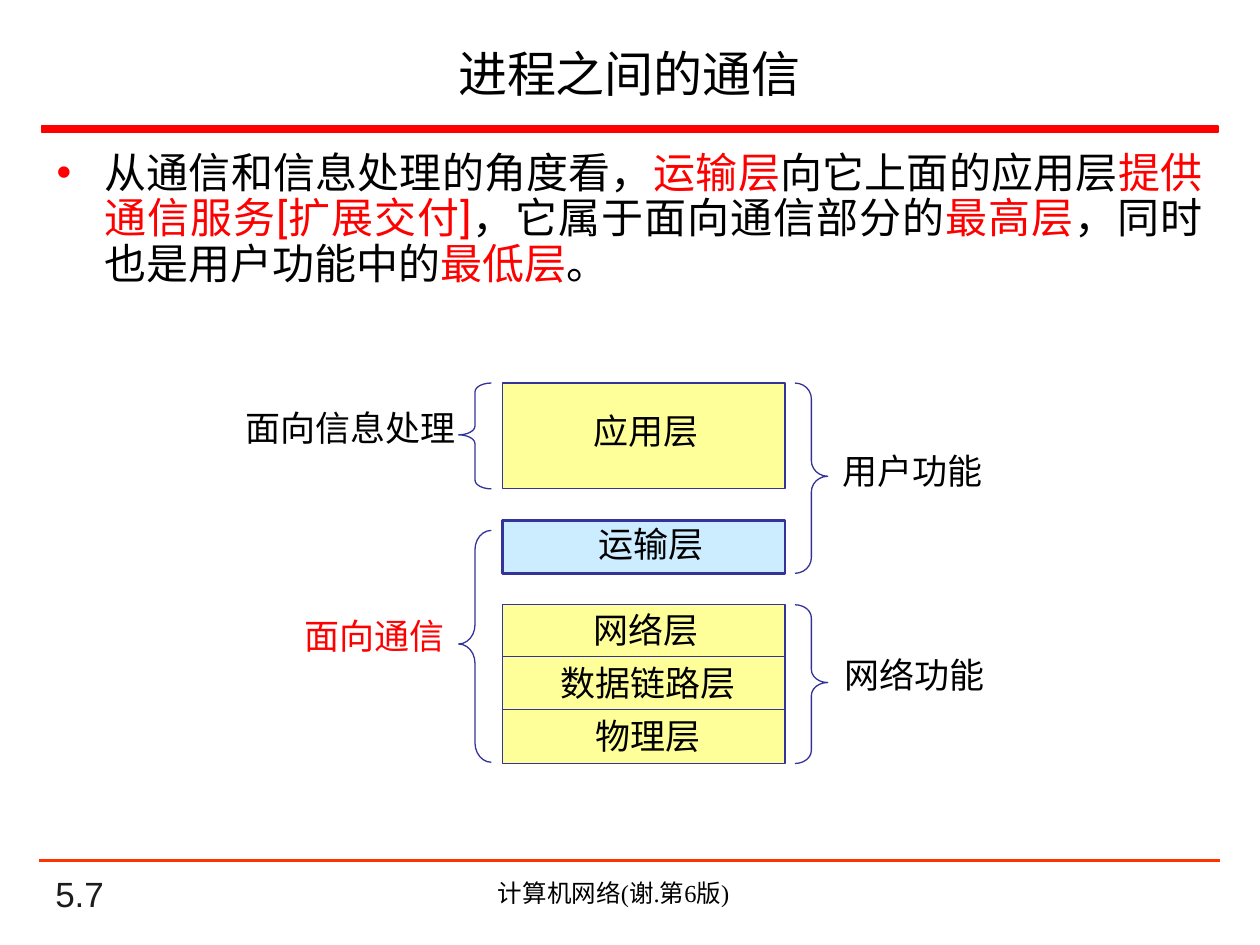
from lxml.etree import SubElement
from pptx import Presentation
from pptx.dml.color import RGBColor
from pptx.enum.shapes import MSO_CONNECTOR, MSO_SHAPE
from pptx.enum.text import MSO_ANCHOR, MSO_AUTO_SIZE, PP_ALIGN
from pptx.oxml.ns import qn
from pptx.util import Inches, Pt

BLACK, RED, NAVY = "000000", "FF0000", "333399"
YELLOW, BLUE = "FFFF99", "CCECFF"


def rgb(value):
    return RGBColor.from_string(value)


class SlideBuilder:
    def __init__(self, slide, font="Arial", size=20, line=NAVY, width=0.75):
        self.s = slide
        self.font, self.size = font, size
        self.line_color, self.width = line, width

    def text(self, x, y, w, h, runs, font=None, size=None, wrap=True,
             anchor=MSO_ANCHOR.TOP, align=PP_ALIGN.LEFT):
        sp = self.s.shapes.add_textbox(Inches(x), Inches(y), Inches(w), Inches(h))
        tf = sp.text_frame
        tf.word_wrap = wrap
        if not wrap:
            tf.auto_size = MSO_AUTO_SIZE.SHAPE_TO_FIT_TEXT
        tf.vertical_anchor = anchor
        p = tf.paragraphs[0]
        p.alignment = align
        for words, color in runs:
            r = p.add_run()
            r.text = words
            r.font.name = font or self.font
            r.font.size = Pt(size or self.size)
            r.font.color.rgb = rgb(color)
        return p

    def label(self, x, y, w, words, color=BLACK):
        return self.text(x, y, w, 0.43, [(words, color)], wrap=False)

    def bullet(self, p, color, indent):
        pPr = p._p.get_or_add_pPr()
        pPr.set("marL", str(Inches(indent)))
        pPr.set("indent", str(-Inches(indent)))
        SubElement(SubElement(pPr, qn("a:buClr")), qn("a:srgbClr")).set("val", color)
        SubElement(pPr, qn("a:buFont")).set("typeface", "Arial")
        SubElement(pPr, qn("a:buChar")).set("char", "•")

    def shape(self, kind, x, y, w, h, fill=None, line=None, width=None):
        sp = self.s.shapes.add_shape(kind, Inches(x), Inches(y), Inches(w), Inches(h))
        sp.shadow.inherit = False
        if fill:
            sp.fill.solid()
            sp.fill.fore_color.rgb = rgb(fill)
        else:
            sp.fill.background()
        sp.line.color.rgb = rgb(line or self.line_color)
        sp.line.width = Pt(width or self.width)
        return sp

    def brace(self, kind, x, y, h, curve):
        sp = self.shape(kind, x, y, 0.26, h)
        sp.adjustments[0] = curve
        sp.adjustments[1] = 0.49

    def hline(self, x1, x2, y, color=None, width=None):
        c = self.s.shapes.add_connector(
            MSO_CONNECTOR.STRAIGHT, Inches(x1), Inches(y), Inches(x2), Inches(y))
        c.line.color.rgb = rgb(color or self.line_color)
        c.line.width = Pt(width or self.width)
        SubElement(c._element.spPr, qn("a:effectLst"))


def main():
    prs = Presentation()
    prs.slide_width, prs.slide_height = Inches(10), Inches(7.5)
    b = SlideBuilder(prs.slides.add_slide(prs.slide_layouts[6]))

    # Title and rule
    b.text(0.39, 0.22, 9.21, 0.71, [("进程之间的通信", BLACK)], font="Roboto",
           size=28, anchor=MSO_ANCHOR.MIDDLE, align=PP_ALIGN.CENTER)
    b.shape(MSO_SHAPE.RECTANGLE, 0.33, 1, 9.34, 0.05, RED, RED, 1)

    # Footer
    b.hline(0.31, 9.68, 6.83, "FF3300", 1.5)
    b.text(0.34, 6.98, 2.08, 0.33, [("5.7", "1C1C1C")], anchor=MSO_ANCHOR.BOTTOM)
    b.text(2.83, 6.92, 4.08, 0.34, [("计算机网络(谢.第6版)", BLACK)],
           font="Times New Roman", size=14, align=PP_ALIGN.CENTER)

    # Body paragraph
    p = b.text(0.35, 1.16, 9.29, 1.26, [
        ("从通信和信息处理的角度看，", BLACK),
        ("运输层", RED),
        ("向它上面的应用层", BLACK),
        ("提供通信服务[扩展交付]", RED),
        ("，它属于面向通信部分的", BLACK),
        ("最高层", RED),
        ("，同时也是用户功能中的", BLACK),
        ("最低层", RED),
        ("。", BLACK),
    ], font="Roboto", size=24, align=PP_ALIGN.JUSTIFY)
    p.line_spacing = 0.9
    p.space_before = Pt(4.8)
    b.bullet(p, RED, 0.38)

    # Layer boxes
    left, width, row = 3.99, 2.24, 0.42
    app_top, transport_top, net_top = 3.04, 4.13, 4.8
    b.shape(MSO_SHAPE.RECTANGLE, left, app_top, width, 2 * row, YELLOW)
    b.shape(MSO_SHAPE.RECTANGLE, left, net_top, width, 3 * row, YELLOW)
    for i in (1, 2):
        b.hline(left, left + width, net_top + i * row - 0.01)
    b.shape(MSO_SHAPE.RECTANGLE, left, transport_top, width, row, BLUE, width=1.5)

    # Layer names, in boxes a little wider than the words
    for x, y, w, words in [
        (4.61, 3.2, 1.06, "应用层"),
        (4.65, 4.1, 1.06, "运输层"),
        (4.61, 4.78, 1.06, "网络层"),
        (4.35, 5.2, 1.61, "数据链路层"),
        (4.63, 5.62, 1.06, "物理层"),
    ]:
        b.label(x, y, w, words)

    # Braces
    for kind, x, y, h, curve in [
        (MSO_SHAPE.LEFT_BRACE, 3.64, app_top, 0.84, 0.27),
        (MSO_SHAPE.LEFT_BRACE, 3.64, 4.21, 1.84, 0.59),
        (MSO_SHAPE.RIGHT_BRACE, 6.31, app_top, 1.51, 0.48),
        (MSO_SHAPE.RIGHT_BRACE, 6.31, net_top, 1.26, 0.4),
    ]:
        b.brace(kind, x, y, h, curve)

    # Group names
    b.label(1.85, 3.18, 1.87, "面向信息处理")
    b.label(2.32, 4.83, 1.31, "面向通信", RED)
    b.label(6.59, 3.52, 1.31, "用户功能")
    b.label(6.6, 5.14, 1.31, "网络功能")

    prs.save("out.pptx")


if __name__ == "__main__":
    main()
